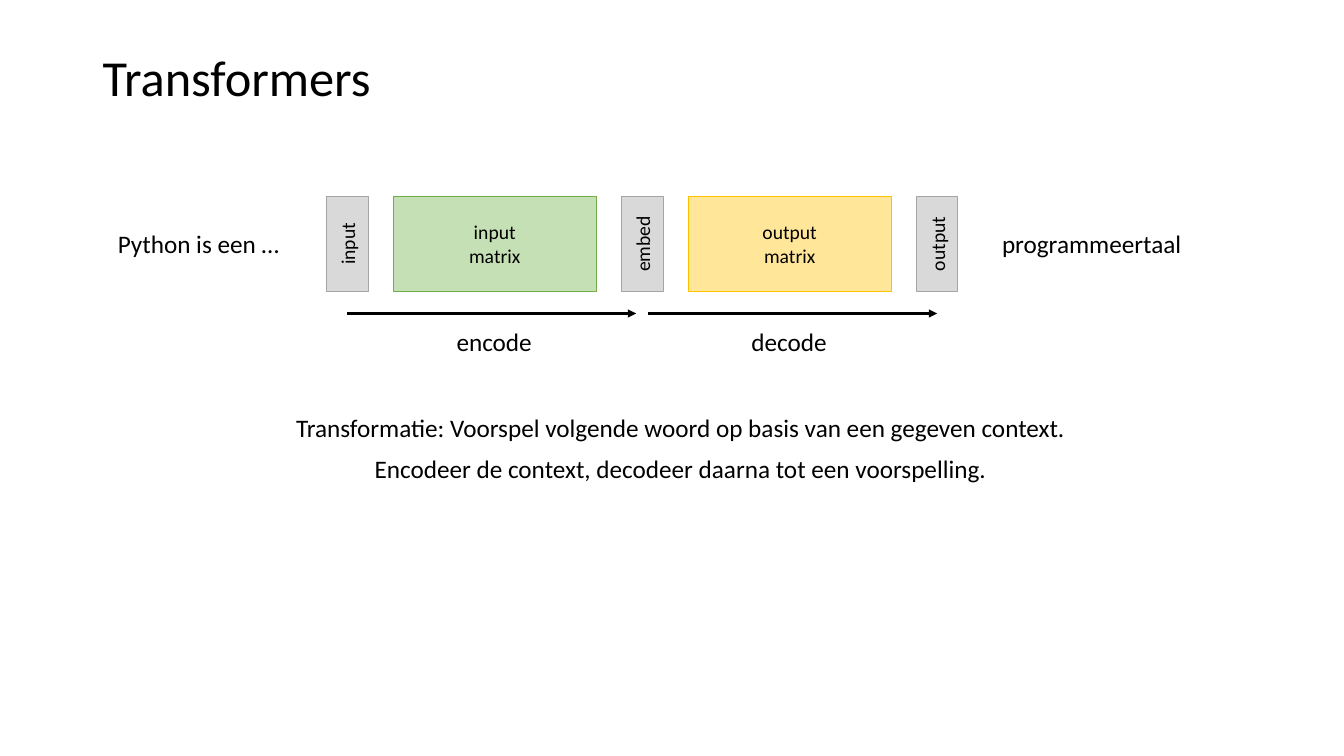
from lxml.etree import SubElement
from pptx import Presentation
from pptx.dml.color import RGBColor
from pptx.enum.shapes import MSO_CONNECTOR, MSO_SHAPE
from pptx.enum.text import MSO_ANCHOR, PP_ALIGN
from pptx.oxml.ns import qn
from pptx.util import Inches, Pt

COLUMNS, ROWS = 133.3, 75
SLIDE_WIDTH, SLIDE_HEIGHT = Inches(13.33), Inches(7.5)
FONT = "Calibri"
COLORS = {
    "text": "000000",
    "vector": "D9D9D9", "vector_line": "A5A5A5",
    "encoder": "C5E0B4", "encoder_line": "70AD47",
    "decoder": "FFE699", "decoder_line": "FFC000",
}


def color(name):
    return RGBColor.from_string(COLORS[name])


def grid(left, top, width, height):
    """Turn columns and rows into slide lengths."""
    column, row = SLIDE_WIDTH / COLUMNS, SLIDE_HEIGHT / ROWS
    return [round(length) for length in (left * column, top * row, width * column, height * row)]


def write(frame, lines, size, align=PP_ALIGN.LEFT, spacing=1.0, gap=0):
    for index, line in enumerate(lines):
        paragraph = frame.add_paragraph() if index else frame.paragraphs[0]
        paragraph.alignment = align
        paragraph.line_spacing = spacing
        paragraph.space_before = Pt(gap if index else 0)
        run = paragraph.add_run()
        run.text = line
        run.font.name = FONT
        run.font.size = Pt(size)
        run.font.color.rgb = color("text")


def add_text(slide, box, lines, size, wrap=True, anchor=MSO_ANCHOR.TOP, **style):
    frame = slide.shapes.add_textbox(*grid(*box)).text_frame
    frame.word_wrap = wrap
    frame.vertical_anchor = anchor
    write(frame, lines, size, **style)


def add_block(slide, box, lines, kind):
    shape = slide.shapes.add_shape(MSO_SHAPE.RECTANGLE, *grid(*box))
    shape.shadow.inherit = False
    shape.fill.solid()
    shape.fill.fore_color.rgb = color(kind)
    shape.line.color.rgb = color(kind + "_line")
    shape.line.width = Pt(0.5)
    frame = shape.text_frame
    frame.word_wrap = True
    frame.vertical_anchor = MSO_ANCHOR.MIDDLE
    if kind == "vector":
        frame._txBody.bodyPr.set("vert", "vert270")
    write(frame, lines, 14, PP_ALIGN.CENTER)


def add_arrow(slide, left, top, length):
    x, y, width, _ = grid(left, top, length, 0)
    arrow = slide.shapes.add_connector(MSO_CONNECTOR.STRAIGHT, x, y, x + width, y)
    arrow.line.color.rgb = color("text")
    arrow.line.width = Pt(1.5)
    SubElement(arrow.line._get_or_add_ln(), qn("a:tailEnd"), type="triangle")
    SubElement(arrow._element.spPr, qn("a:effectLst"))


def add_transformer(slide, left, top, width, height):
    """Place three vectors with a matrix between each pair, and the arrows below."""
    vector_width, gap = 4.1, 2.5
    pitch = (width - vector_width) / 2
    matrix_width = pitch - vector_width - 2 * gap
    for index, name in enumerate(("input", "embed", "output")):
        add_block(slide, (left + index * pitch, top, vector_width, height), [name], "vector")

    arrow_top, arrow_length = top + height + 2.2, 28.65
    arrow_starts = (left + vector_width / 2, left + width - vector_width / 2 - arrow_length)
    stages = (("input", "encoder", "encode"), ("output", "decoder", "decode"))
    for index, (name, kind, step) in enumerate(stages):
        matrix_left = left + index * pitch + vector_width + gap
        add_block(slide, (matrix_left, top, matrix_width, height), [name, "matrix"], kind)
        add_arrow(slide, arrow_starts[index], arrow_top, arrow_length)
        add_text(slide, (matrix_left + 5.3, arrow_top + 0.8, 9.6, 4), [step], 18, wrap=False)


def add_example(slide, left, top, width, height):
    """Place the prompt at the left end of the box and the prediction at the right end."""
    add_text(slide, (left, top, 18.4, height), ["Python is een …"], 18, wrap=False)
    add_text(slide, (left + width - 20, top, 20, height), ["programmeertaal"], 18, wrap=False)


def add_explanation(slide, *box):
    add_text(slide, box, [
        "Transformatie: Voorspel volgende woord op basis van een gegeven context.",
        "Encodeer de context, decodeer daarna tot een voorspelling.",
    ], 18, align=PP_ALIGN.CENTER, spacing=0.9, gap=10)


def main():
    presentation = Presentation()
    presentation.slide_width, presentation.slide_height = SLIDE_WIDTH, SLIDE_HEIGHT
    slide = presentation.slides.add_slide(presentation.slide_layouts[6])
    add_text(slide, (9.2, 4, 115, 7.9), ["Transformers"], 36,
             anchor=MSO_ANCHOR.MIDDLE, spacing=0.9)
    add_explanation(slide, 10, 40.7, 115, 26.8)
    add_example(slide, 10.7, 22.2, 107.7, 4)
    add_transformer(slide, 32.4, 19.5, 62.6, 9.4)
    presentation.save("out.pptx")


if __name__ == "__main__":
    main()
